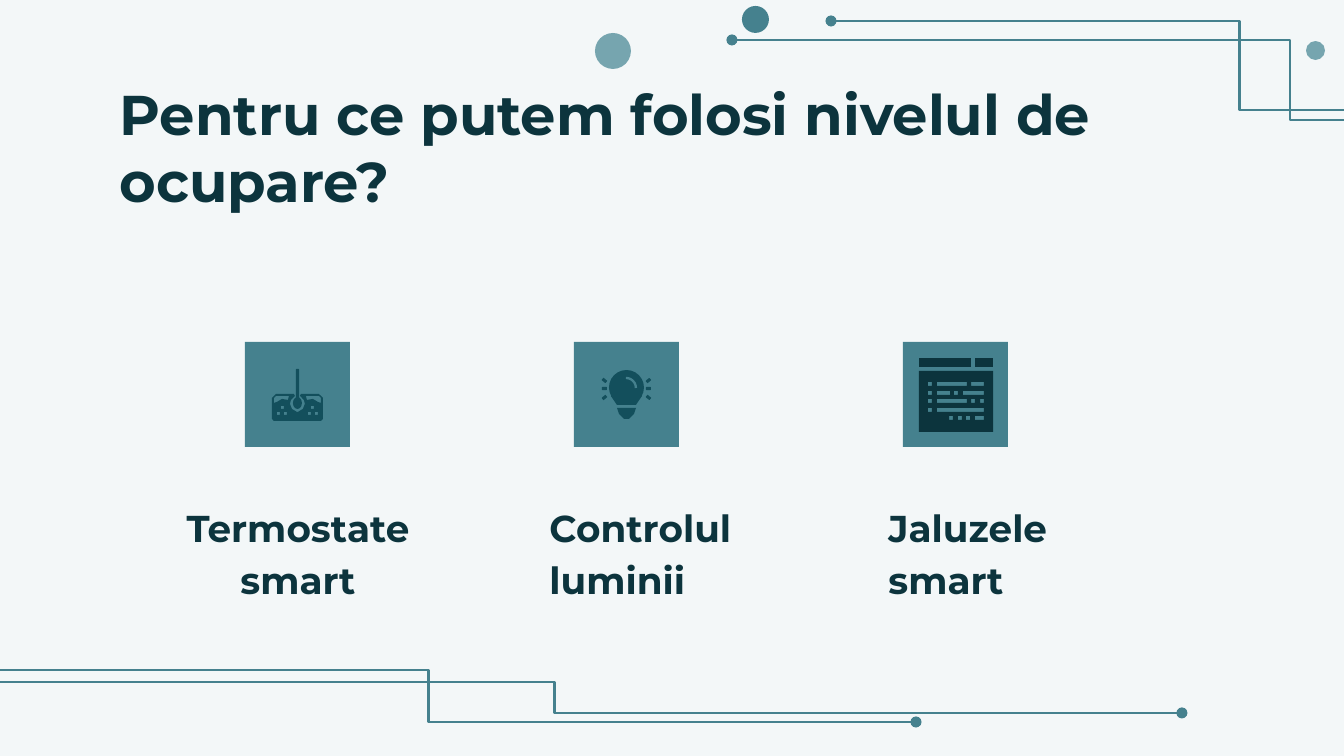
import pptx
import pptx.util
import pptx.dml.color
import pptx.enum.shapes
import pptx.enum.text
import pptx.oxml.ns
import lxml.etree

RGB = pptx.dml.color.RGBColor
SHAPE = pptx.enum.shapes.MSO_SHAPE
ANCHOR = pptx.enum.text.MSO_ANCHOR
ALIGN = pptx.enum.text.PP_ALIGN
qn = pptx.oxml.ns.qn

PAPER = RGB(0xF3, 0xF7, 0xF8)
TEAL = RGB(0x45, 0x81, 0x8E)
PALE_TEAL = RGB(0x76, 0xA5, 0xAF)
DEEP_TEAL = RGB(0x13, 0x4F, 0x5C)
INK = RGB(0x0C, 0x34, 0x3D)

PX = 914400 / 134.4
TILE = 105


def px(length):
    return pptx.util.Emu(round(length * PX))


def paint(shape, color):
    shape.shadow.inherit = False
    shape.fill.solid()
    shape.fill.fore_color.rgb = color
    shape.line.fill.background()
    return shape


def add_preset(slide, origin, kind, box, color, rotation=0):
    x, y, width, height = box
    shape = slide.shapes.add_shape(
        kind, px(origin[0] + x), px(origin[1] + y), px(width), px(height))
    shape.rotation = rotation
    return paint(shape, color)


def add_outline(slide, origin, contours, color):
    """One shape from an outer contour and the holes that follow it."""
    placed = [[(origin[0] + x, origin[1] + y) for x, y in contour] for contour in contours]
    builder = slide.shapes.build_freeform(*placed[0][0], scale=PX)
    builder.add_line_segments(placed[0][1:], close=True)
    for hole in placed[1:]:
        builder.move_to(*hole[0])
        builder.add_line_segments(hole[1:], close=True)
    return paint(builder.convert_to_shape(), color)


def box_corners(x, y, width, height):
    return [(x, y), (x, y + height), (x + width, y + height), (x + width, y)]


def mirror(points):
    return [(TILE - x, y) for x, y in reversed(points)]


def add_trace(slide, start, end, bend_x, dot):
    """Circuit line bent at bend_x, with a round dot at its head or tail."""
    trace = slide.shapes.add_connector(
        pptx.enum.shapes.MSO_CONNECTOR.ELBOW, *map(px, start + end))
    trace.line.color.rgb = TEAL
    trace.line.width = pptx.util.Pt(1.5)
    properties = trace._element.spPr
    lxml.etree.SubElement(trace.line._get_or_add_ln(), qn(f"a:{dot}End"), type="oval")
    lxml.etree.SubElement(properties, qn("a:effectLst"))
    share = round((bend_x - start[0]) / (end[0] - start[0]) * 100000)
    guides = properties.find(qn("a:prstGeom")).get_or_add_avLst()
    lxml.etree.SubElement(guides, qn("a:gd"), name="adj1", fmla=f"val {share}")


def write_text(holder, box, lines, size, align=ALIGN.LEFT, anchor=ANCHOR.TOP, spacing=1.0):
    holder.left, holder.top, holder.width, holder.height = map(px, box)
    frame = holder.text_frame
    frame.word_wrap = True
    frame.auto_size = pptx.enum.text.MSO_AUTO_SIZE.NONE
    frame.vertical_anchor = anchor
    frame.margin_left = frame.margin_right = pptx.util.Inches(0.1)
    frame.margin_top = frame.margin_bottom = pptx.util.Inches(0.1)
    frame.text = "\n".join(lines)
    for paragraph in frame.paragraphs:
        properties = paragraph._p.get_or_add_pPr()
        properties.set("marL", "0")
        properties.set("indent", "0")
        lxml.etree.SubElement(properties, qn("a:buNone"))
        paragraph.alignment = align
        paragraph.line_spacing = spacing
        paragraph.space_before = paragraph.space_after = pptx.util.Pt(0)
        for run in paragraph.runs:
            run.font.name = "Montserrat"
            run.font.size = pptx.util.Pt(size)
            run.font.bold = True
            run.font.color.rgb = INK


def draw_decor(slide):
    for x, y, size, color in ((595, 33, 36, PALE_TEAL), (742, 6, 27, TEAL),
                              (1306, 41, 19, PALE_TEAL)):
        add_preset(slide, (0, 0), SHAPE.OVAL, (x, y, size, size), color)
    for start, end, bend_x, dot in (
            ((732, 40), (1344, 120), 1290, "head"),
            ((831, 21), (1344, 110), 1240, "head"),
            ((0, 682), (1182, 713), 554, "tail"),
            ((0, 670), (916, 722), 429, "tail")):
        add_trace(slide, start, end, bend_x, dot)


def draw_thermostat(slide, origin):
    # Block, with its symmetric cut-outs
    left_half = [(52, 70), (47, 67), (45, 62), (46, 58), (50, 54), (49, 52),
                 (31, 52), (27, 56), (27, 77), (29, 79)]
    holes = [[(29, 61), (29, 56), (31, 54), (44, 54), (43, 58), (37, 57), (32, 60)]]
    holes += [box_corners(x, y, 3, 3) for x, y in ((36, 64), (32, 70), (39, 70))]
    add_outline(slide, origin,
                [left_half + mirror(left_half)] + holes + [mirror(hole) for hole in holes],
                DEEP_TEAL)
    # Probe
    add_preset(slide, origin, SHAPE.ROUNDED_RECTANGLE, (51, 27, 3, 33), DEEP_TEAL)
    add_preset(slide, origin, SHAPE.OVAL, (48, 55, 9, 12), DEEP_TEAL)


def draw_bulb(slide, origin):
    # Glass, neck and base
    add_preset(slide, origin, SHAPE.OVAL, (35, 28, 35, 35), DEEP_TEAL)
    add_outline(slide, origin, [((37, 54), (68, 54), (62, 63), (43, 63))], DEEP_TEAL)
    add_outline(slide, origin,
                [((43, 66), (62, 66), (60, 72), (55, 77), (50, 77), (45, 72))], DEEP_TEAL)
    # Highlight
    glint = add_preset(slide, origin, SHAPE.ARC, (42, 36, 20, 20), TEAL)
    glint.fill.background()
    glint.line.color.rgb = TEAL
    glint.line.width = pptx.util.Pt(1.25)
    # Rays on both sides
    for y, tilt in ((37, 40), (45, 0), (54, -40)):
        for x, rotation in ((28, tilt), (TILE - 33, -tilt)):
            add_preset(slide, origin, SHAPE.ROUNDED_RECTANGLE, (x, y, 5, 3), DEEP_TEAL, rotation)


def draw_blinds(slide, origin):
    for box in ((16, 16, 52, 9), (72, 16, 18, 9)):
        add_outline(slide, origin, [box_corners(*box)], INK)
    # Slots as (x, width), row by row
    slots = (
        ((25, 4), (34, 30), (68, 13)),
        ((25, 4), (34, 13), (51, 4), (60, 21)),
        ((25, 4), (34, 30), (68, 4), (77, 4)),
        ((25, 4), (34, 47)),
        ((46, 4), (55, 4), (63, 4), (72, 9)),
    )
    holes = [box_corners(x, 40 + round(8.6 * row), width, 4)
             for row, cells in enumerate(slots) for x, width in cells]
    add_outline(slide, origin, [box_corners(16, 29, 74, 61)] + holes, INK)


def draw_use(slide, origin, draw_icon, holder, label_box, lines, align):
    add_preset(slide, origin, SHAPE.RECTANGLE, (0, 0, TILE, TILE), TEAL)
    draw_icon(slide, origin)
    write_text(holder, label_box, lines, 20, align=align, anchor=ANCHOR.BOTTOM, spacing=1.15)


def main():
    deck = pptx.Presentation()
    deck.slide_width, deck.slide_height = px(1344), px(756)
    slide = deck.slides.add_slide(deck.slide_layouts[4])
    slide.background.fill.solid()
    slide.background.fill.fore_color.rgb = PAPER

    draw_decor(slide)
    write_text(slide.shapes.title, (106, 66, 1133, 85),
               ["Pentru ce putem folosi nivelul de ocupare?"], 30)

    # Three uses, evenly spaced
    uses = (
        (draw_thermostat, 138, ["Termostate smart"], ALIGN.CENTER),
        (draw_bulb, 536, ["Controlul luminii"], ALIGN.LEFT),
        (draw_blinds, 875, ["Jaluzele", "smart"], ALIGN.LEFT),
    )
    for index, (draw_icon, label_x, lines, align) in enumerate(uses):
        draw_use(slide, (245 + 329 * index, 342), draw_icon, slide.placeholders[index + 1],
                 (label_x, 557, 320, 58), lines, align)

    # Unused placeholder of the layout
    spare = slide.placeholders[4]._element
    spare.getparent().remove(spare)
    deck.save("out.pptx")


if __name__ == "__main__":
    main()
